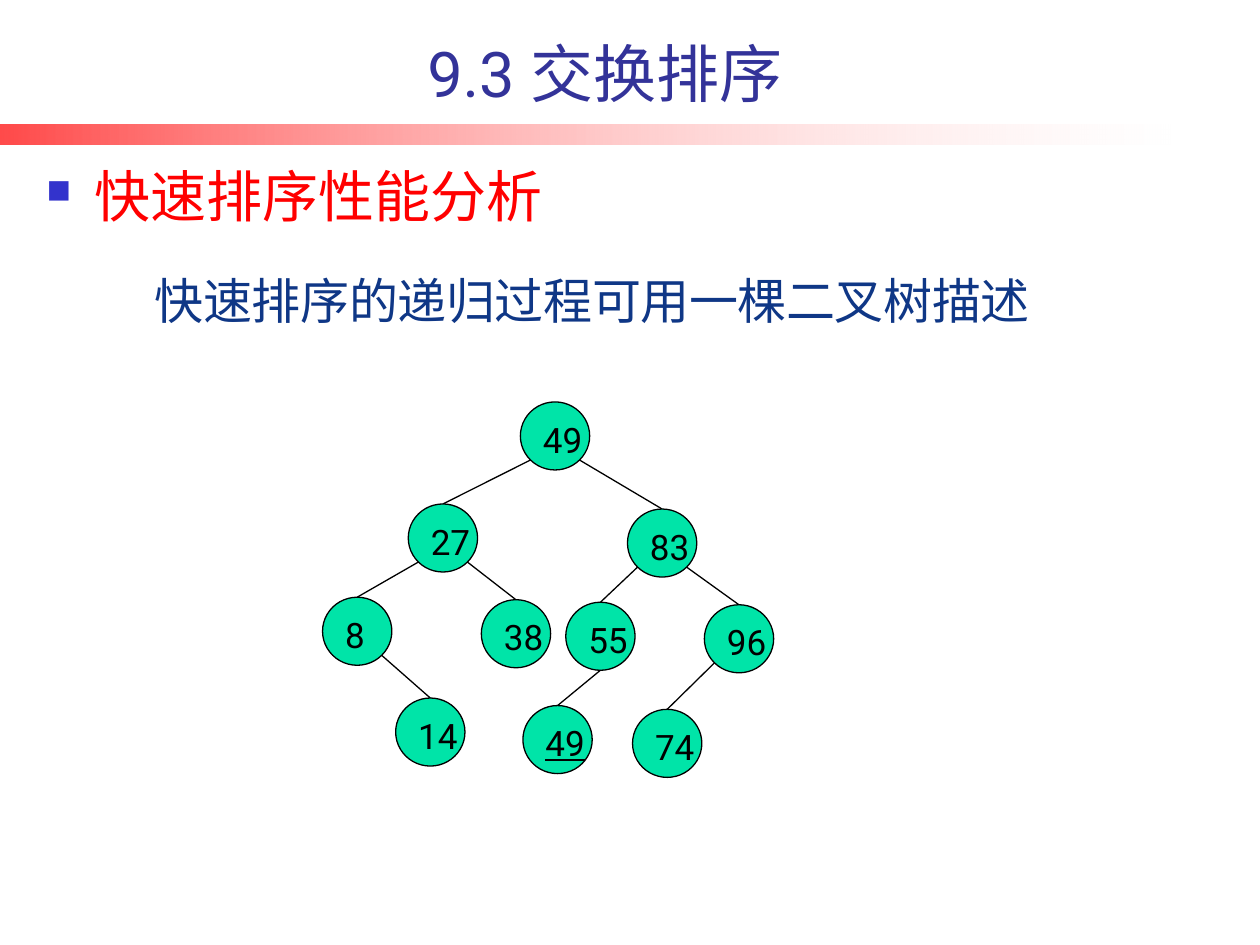
from dataclasses import dataclass
from math import sqrt

from pptx import Presentation
from pptx.dml.color import RGBColor
from pptx.enum.shapes import MSO_CONNECTOR, MSO_SHAPE
from pptx.enum.text import MSO_ANCHOR, PP_ALIGN
from pptx.oxml.ns import qn
from pptx.util import Inches, Pt
from lxml.etree import SubElement

CJK_FONT = "Noto Sans CJK SC"
LATIN_FONT = "Roboto"
NODE_WIDTH, NODE_HEIGHT = 0.55, 0.54


@dataclass
class Node:
    key: str
    left: float
    top: float
    parent: str = ""
    side: int = 0  # where the edge leaves the parent: -1 left, 0 bottom, 1 right
    underline: bool = False


NODES = [
    Node("49", 4.13, 3.19),
    Node("27", 3.24, 4.0, "49", -1),
    Node("83", 4.98, 4.04, "49", 1),
    Node("8", 2.56, 4.74, "27", -1),
    Node("38", 3.82, 4.76, "27", 1),
    Node("55", 4.49, 4.78, "83", -1),
    Node("96", 5.59, 4.8, "83", 1),
    Node("14", 3.14, 5.54, "8", 1),
    Node("49", 4.15, 5.6, "55", 0, underline=True),
    Node("74", 5.02, 5.63, "96", -1),
]


def color(value: str) -> RGBColor:
    return RGBColor.from_string(value)


def format_text(paragraph, size: float, text_color: str, font_name: str):
    for run in paragraph.runs:
        run.font.size = Pt(size)
        run.font.name = font_name
        run.font.color.rgb = color(text_color)
        SubElement(run._r.get_or_add_rPr(), qn("a:ea")).set("typeface", CJK_FONT)


def add_text(slide, box: tuple, text: str, size: float, text_color: str, font_name: str = CJK_FONT):
    """Add a one-line text box and return its shape."""
    shape = slide.shapes.add_textbox(*(Inches(length) for length in box))
    shape.text_frame.word_wrap = True
    shape.text_frame.text = text
    format_text(shape.text_frame.paragraphs[0], size, text_color, font_name)
    return shape


def add_square_bullet(paragraph, indent: float):
    properties = paragraph._p.get_or_add_pPr()
    properties.set("marL", str(Inches(indent)))
    properties.set("indent", str(-Inches(indent)))
    bullet_color = SubElement(properties, qn("a:buClr"))
    SubElement(bullet_color, qn("a:srgbClr")).set("val", "3333CC")
    SubElement(properties, qn("a:buSzPct")).set("val", "60000")
    SubElement(properties, qn("a:buChar")).set("char", "■")


def add_gradient_bar(slide):
    bar = slide.shapes.add_shape(
        MSO_SHAPE.RECTANGLE, Inches(0), Inches(0.99), Inches(9.29), Inches(0.16))
    bar.shadow.inherit = False
    bar.line.fill.background()
    bar.fill.gradient()
    bar.fill.gradient_angle = 0
    for stop, stop_color in zip(bar.fill.gradient_stops, ("FF0000", "FFFFFF")):
        stop.color.rgb = color(stop_color)
    for element, opacity in zip(bar._element.spPr.iter(qn("a:srgbClr")), (71, 18)):
        SubElement(element, qn("a:alpha")).set("val", str(opacity * 1000))


def add_edge(slide, parent: Node, child: Node):
    """Join the lower rim of the parent to the top of the child."""
    drop = 1 / sqrt(2) if child.side else 1
    start_x = parent.left + NODE_WIDTH / 2 * (1 + child.side / sqrt(2))
    start_y = parent.top + NODE_HEIGHT / 2 * (1 + drop)
    edge = slide.shapes.add_connector(
        MSO_CONNECTOR.STRAIGHT, Inches(start_x), Inches(start_y),
        Inches(child.left + NODE_WIDTH / 2), Inches(child.top))
    edge.line.color.rgb = color("000000")
    edge.line.width = Pt(0.75)
    SubElement(edge._element.spPr, qn("a:effectLst"))


def add_node(slide, node: Node):
    circle = slide.shapes.add_shape(
        MSO_SHAPE.OVAL, Inches(node.left), Inches(node.top),
        Inches(NODE_WIDTH), Inches(NODE_HEIGHT))
    circle.shadow.inherit = False
    circle.fill.solid()
    circle.fill.fore_color.rgb = color("00E4A8")
    circle.line.color.rgb = color("000000")
    circle.line.width = Pt(0.75)
    text_frame = circle.text_frame
    text_frame.word_wrap = False
    text_frame.vertical_anchor = MSO_ANCHOR.TOP
    text_frame.text = node.key
    paragraph = text_frame.paragraphs[0]
    paragraph.alignment = PP_ALIGN.LEFT
    format_text(paragraph, 20, "000000", LATIN_FONT)
    if node.underline:
        paragraph.runs[0].font.underline = True


def add_tree(slide):
    parents = {node.key: node for node in NODES if not node.underline}
    for node in NODES:
        if node.parent:
            add_edge(slide, parents[node.parent], node)
        add_node(slide, node)


def main():
    presentation = Presentation()
    presentation.slide_width = Inches(10)
    presentation.slide_height = Inches(7.5)
    slide = presentation.slides.add_slide(presentation.slide_layouts[6])

    add_gradient_bar(slide)

    heading = add_text(slide, (0.27, 1.29, 4.98, 0.59), "快速排序性能分析", 32, "FF0000")
    heading_paragraph = heading.text_frame.paragraphs[0]
    heading_paragraph.line_spacing = 0.9
    add_square_bullet(heading_paragraph, 0.38)

    title = add_text(slide, (0.54, 0.21, 8.52, 0.71), "9.3 交换排序", 36, "333399", LATIN_FONT)
    title.text_frame.vertical_anchor = MSO_ANCHOR.BOTTOM
    title.text_frame.paragraphs[0].alignment = PP_ALIGN.CENTER

    statement = add_text(slide, (1.13, 2.1, 7.32, 0.57),
                         "快速排序的递归过程可用一棵二叉树描述", 28, "0F3786")
    statement.text_frame.paragraphs[0].runs[0]._r.rPr.set("spc", "-20")

    add_tree(slide)
    presentation.save("out.pptx")


if __name__ == "__main__":
    main()
